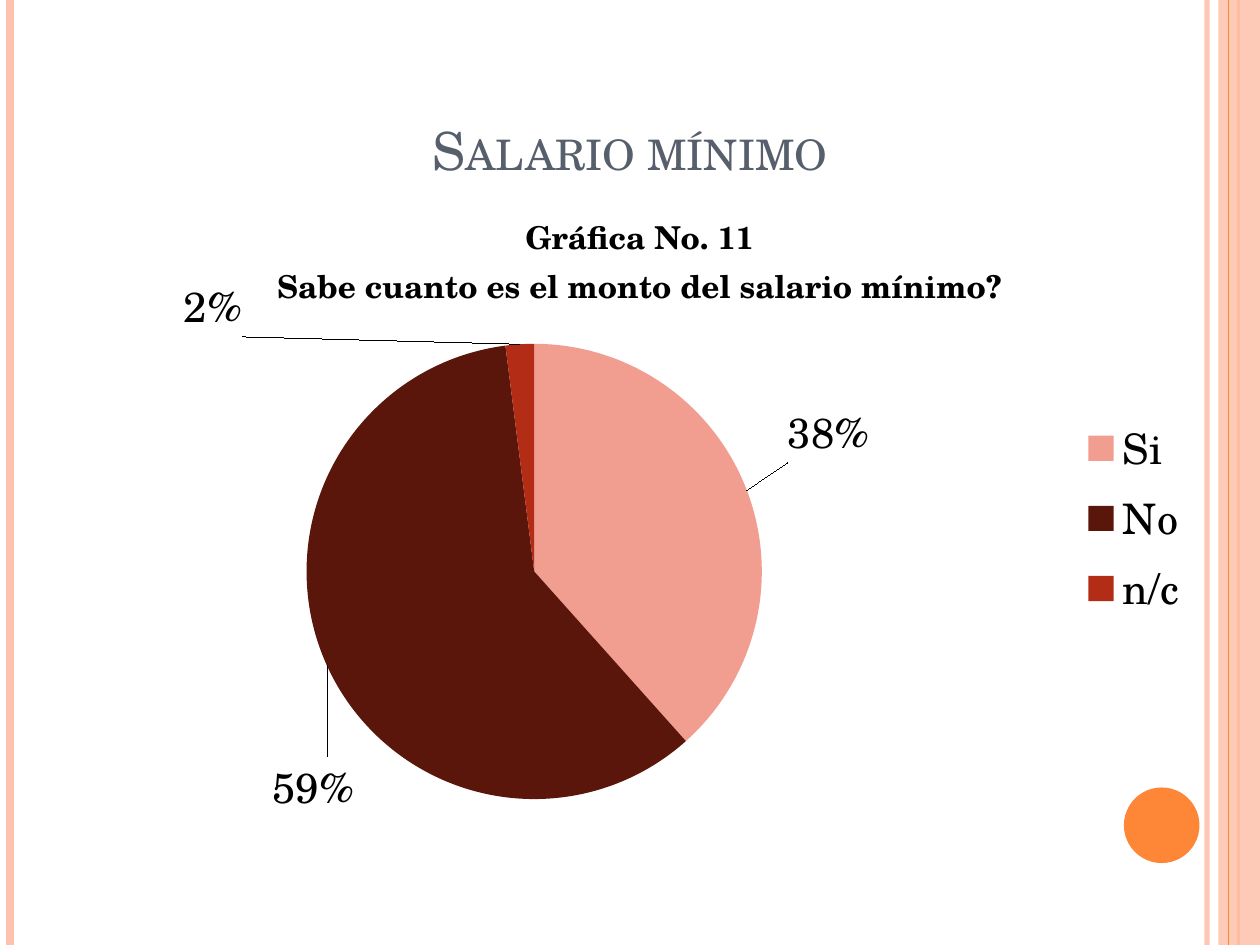
"""Build the minimum wage slide: a titled pie chart with side rails."""
from dataclasses import dataclass

from pptx import Presentation
from pptx.chart.data import CategoryChartData
from pptx.dml.color import RGBColor
from pptx.enum.chart import XL_CHART_TYPE, XL_LABEL_POSITION as LabelPos, XL_LEGEND_POSITION as LegendPos
from pptx.enum.shapes import MSO_CONNECTOR, MSO_SHAPE
from pptx.enum.text import MSO_ANCHOR, PP_ALIGN
from pptx.oxml import parse_xml
from pptx.oxml.ns import nsdecls, qn
from pptx.oxml.xmlchemy import OxmlElement
from pptx.util import Inches, Pt

FONT = "TeX Gyre Schola"
COLORS = {
    "peach": "FEC3AE", "orange": "FE8637", "slate": "575F6D", "black": "000000",
    "pink": "F19E91", "maroon": "5A160B", "red": "B32C16",
}


@dataclass
class Rail:
    x: float
    color: str
    width: float
    alpha: int = 100


@dataclass
class Slice:
    name: str
    value: float
    color: str
    dx: float
    dy: float


RAILS = [
    Rail(9.58, "peach", 3, 93),
    Rail(0.08, "peach", 4.5),
    Rail(9.83, "orange", 1.5),
    Rail(9.75, "orange", 0.75),
]
SLICES = [
    Slice("Si", 0.38, "pink", 0.03, -0.04),
    Slice("No", 0.59, "maroon", 0.03, 0.14),
    Slice("n/c", 0.02, "red", -0.27, 0),
]
CHART_TITLE = ["Gráfica No. 11", "Sabe cuanto es el monto del salario mínimo?"]


def rgb(name: str) -> RGBColor:
    """Return a named palette colour."""
    return RGBColor.from_string(COLORS[name])


def set_font(font, size: float, color: str = "black", bold: bool = False) -> None:
    """Apply the slide typeface and the given format."""
    for key, value in {"name": FONT, "size": Pt(size), "bold": bold}.items():
        setattr(font, key, value)
    font.color.rgb = rgb(color)


def set_alpha(sp, percent: int) -> None:
    """Set the opacity of the first solid colour of a shape."""
    alpha = OxmlElement("a:alpha")
    alpha.set("val", str(percent * 1000))
    next(sp._element.spPr.iter(qn("a:srgbClr"))).append(alpha)


def add_rail(s, rail: Rail) -> None:
    """Draw a full-height vertical line."""
    x = Inches(rail.x)
    line = s.shapes.add_connector(MSO_CONNECTOR.STRAIGHT, x, 0, x, Inches(7.5))
    line.line.color.rgb = rgb(rail.color)
    line.line.width = Pt(rail.width)
    if rail.alpha < 100:
        set_alpha(line, rail.alpha)
    line._element.spPr.append(OxmlElement("a:effectLst"))


def add_block(s, kind: MSO_SHAPE, box: tuple, color: str, alpha: int = 100) -> None:
    """Draw a borderless filled shape."""
    sp = s.shapes.add_shape(kind, *map(Inches, box))
    sp.shadow.inherit = False
    sp.fill.solid()
    sp.fill.fore_color.rgb = rgb(color)
    sp.line.fill.background()
    if alpha < 100:
        set_alpha(sp, alpha)


def layout_xml(target: str = "", edge: bool = False, **values: float):
    """Return a manual chart layout element."""
    parts = f'<c:layoutTarget val="{target}"/>' if target else ""
    parts += '<c:xMode val="edge"/><c:yMode val="edge"/>' if edge else ""
    parts += "".join(f'<c:{key} val="{value}"/>' for key, value in values.items())
    return parse_xml(f'<c:layout {nsdecls("c")}><c:manualLayout>{parts}</c:manualLayout></c:layout>')


def replace_layout(element, index: int, layout) -> None:
    """Put a manual layout in place of any existing one."""
    for old in element.findall(qn("c:layout")):
        element.remove(old)
    element.insert(index, layout)


def add_title(s, text: str) -> None:
    """Fill and place the title placeholder."""
    title = s.shapes.title
    box = {"left": 0.5, "top": 0.78, "width": 9, "height": 0.71}
    for key, value in box.items():
        setattr(title, key, Inches(value))
    tf = title.text_frame
    tf.vertical_anchor = MSO_ANCHOR.BOTTOM
    p = tf.paragraphs[0]
    p.alignment = PP_ALIGN.CENTER
    r = p.add_run()
    r.text = text
    set_font(r.font, 30, "slate")
    r.font._element.set("cap", "small")


def add_chart_title(chart) -> None:
    """Write the two-line chart title over the top of the plot."""
    tf = chart.chart_title.text_frame
    for i, text in enumerate(CHART_TITLE):
        p = tf.add_paragraph() if i else tf.paragraphs[0]
        r = p.add_run()
        r.text = text
        set_font(r.font, 18, bold=True)
    element = chart.chart_title._element
    replace_layout(element, 1, layout_xml(edge=True, x=0.18, y=0))
    for old in element.findall(qn("c:overlay")):
        element.remove(old)
    element.insert(2, parse_xml(f'<c:overlay {nsdecls("c")} val="1"/>'))


def add_pie(s) -> None:
    """Add the pie chart with moved percentage labels."""
    data = CategoryChartData(number_format="0%")
    data.categories = [sl.name for sl in SLICES]
    data.add_series("Series 1", [sl.value for sl in SLICES])
    box = map(Inches, (0.55, 1.64, 9, 4.95))
    chart = s.shapes.add_chart(XL_CHART_TYPE.PIE, *box, data).chart
    set_font(chart.font, 10)
    add_chart_title(chart)

    chart.has_legend = True
    chart.legend.position = LegendPos.RIGHT
    chart.legend.include_in_layout = False
    set_font(chart.legend.font, 24)

    plot_layout = layout_xml("inner", True, x=0.07, y=0.22, w=0.68, h=0.73)
    replace_layout(chart._chartSpace.chart.plotArea, 0, plot_layout)

    plot = chart.plots[0]
    plot.vary_by_categories = True
    series = plot.series[0]
    labels = series.data_labels
    fmt = {"show_value": True, "number_format": "0%", "number_format_is_linked": False,
           "position": LabelPos.OUTSIDE_END}
    for key, value in fmt.items():
        setattr(labels, key, value)
    set_font(labels.font, 24)
    for i, sl in enumerate(SLICES):
        point = series.points[i]
        point.format.fill.solid()
        point.format.fill.fore_color.rgb = rgb(sl.color)
        label = point.data_label
        label.position = LabelPos.OUTSIDE_END
        set_font(label.font, 24)
        element = labels._element.findall(qn("c:dLbl"))[i]
        element.insert(1, layout_xml(x=sl.dx, y=sl.dy))
        element.insert(2, parse_xml(f'<c:numFmt {nsdecls("c")} formatCode="0%" sourceLinked="0"/>'))


def main() -> None:
    """Build and save the slide."""
    prs = Presentation()
    prs.slide_width, prs.slide_height = Inches(10), Inches(7.5)
    s = prs.slides.add_slide(prs.slide_layouts[5])
    for rail in RAILS[:3]:
        add_rail(s, rail)
    add_block(s, MSO_SHAPE.RECTANGLE, (9.67, 0, 0.33, 7.5), "peach", 87)
    add_rail(s, RAILS[3])
    add_block(s, MSO_SHAPE.OVAL, (8.92, 6.25, 0.6, 0.6), "orange")
    add_title(s, "Salario mínimo")
    add_pie(s)
    prs.save("out.pptx")


if __name__ == "__main__":
    main()
